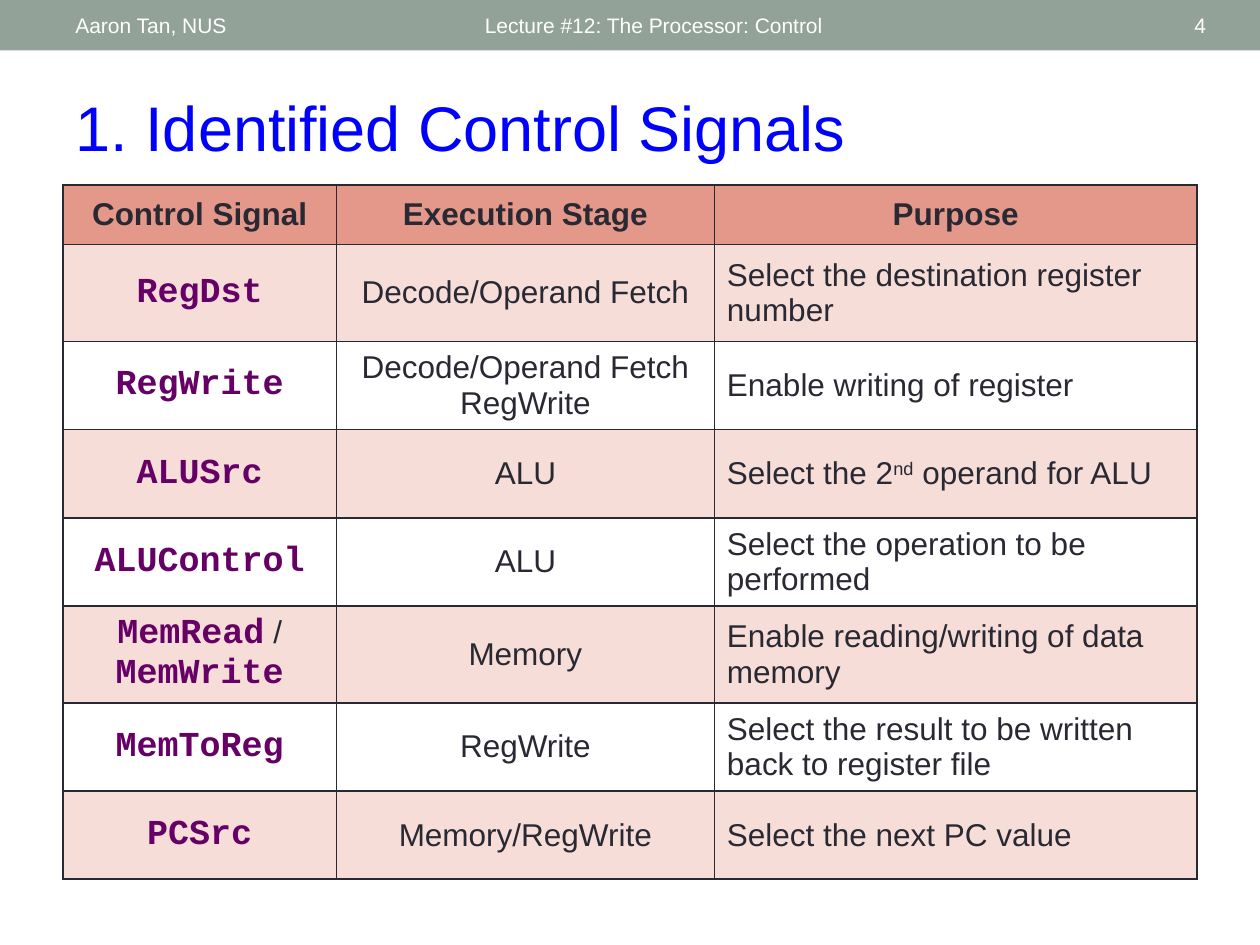
from dataclasses import dataclass

from lxml.etree import SubElement
from pptx import Presentation
from pptx.dml.color import RGBColor
from pptx.enum.shapes import MSO_SHAPE
from pptx.enum.text import MSO_ANCHOR, MSO_AUTO_SIZE, PP_ALIGN
from pptx.oxml.ns import qn
from pptx.util import Inches, Pt


@dataclass(frozen=True)
class Theme:
    """Colours, fonts and type sizes of the slide."""
    band: str = "93A299"
    white: str = "FFFFFF"
    title: str = "0000FF"
    ink: str = "292934"
    signal: str = "660066"
    head_fill: str = "E4988A"
    row_fill: str = "F6DDD8"
    font: str = "Arial"
    code_font: str = "Courier New"
    small: int = 12
    body: int = 18
    code: int = 20
    heading: int = 36


T = Theme()
W, H = 10, 7.5
MARGIN = W * 0.05
COLS = [2.17, 3, 3.83]
ROWS = [0.47, 0.77, 0.7, 0.7, 0.7, 0.74, 0.7, 0.7]
CODE = dict(font=T.code_font, size=T.code, color=T.signal, bold=True)
HEADS = ["Control Signal", "Execution Stage", "Purpose"]
SIGNALS = [
    ("RegDst", ["Decode/Operand Fetch"], "Select the destination register number"),
    ("RegWrite", ["Decode/Operand Fetch", "RegWrite"], "Enable writing of register"),
    ("ALUSrc", ["ALU"],
     [("Select the 2", {}), ("nd", dict(raised=30)), (" operand for ALU", {})]),
    ("ALUControl", ["ALU"], "Select the operation to be performed"),
    ([("MemRead", CODE), (" / ", {}), ("MemWrite", CODE)], ["Memory"],
     "Enable reading/writing of data memory"),
    ("MemToReg", ["RegWrite"], "Select the result to be written back to register file"),
    ("PCSrc", ["Memory/RegWrite"], "Select the next PC value"),
]


def rgb(code):
    """Turn a hex code into a colour."""
    return RGBColor.from_string(code)


def add_run(p, text, font=T.font, size=T.body, color=T.ink, bold=False, raised=0):
    """Add one formatted run to a paragraph."""
    r = p.add_run()
    r.text = text
    r.font.name, r.font.size, r.font.bold = font, Pt(size), bold
    r.font.color.rgb = rgb(color)
    if raised:
        r._r.get_or_add_rPr().set("baseline", str(raised * 1000))


def write(tf, paras, align=PP_ALIGN.LEFT, **fmt):
    """Write paragraphs, each a string or a list of (text, format) runs."""
    for i, para in enumerate(paras):
        p = tf.add_paragraph() if i else tf.paragraphs[0]
        p.alignment = align
        for text, own in [(para, {})] if isinstance(para, str) else para:
            add_run(p, text, **{**fmt, **own})


def add_band(s):
    """Draw the strip across the top of the slide."""
    sp = s.shapes.add_shape(MSO_SHAPE.RECTANGLE, 0, 0, Inches(W), Inches(0.4))
    sp.shadow.inherit = False
    sp.fill.solid()
    sp.fill.fore_color.rgb = rgb(T.band)
    sp.line.fill.background()


def add_label(s, text, left, width, align=PP_ALIGN.LEFT):
    """Place a small white label on the strip."""
    sp = s.shapes.add_textbox(Inches(left), Inches(0.02), Inches(width), Inches(0.36))
    tf = sp.text_frame
    tf.word_wrap = True
    tf.vertical_anchor = MSO_ANCHOR.MIDDLE
    write(tf, [text], align, size=T.small, color=T.white)


def add_title(s, text):
    """Move the title placeholder and fill it."""
    sp = s.shapes.title
    sp.left, sp.top = Inches(MARGIN), Inches(0.64)
    sp.width, sp.height = Inches(W - 2 * MARGIN), Inches(0.71)
    tf = sp.text_frame
    tf.auto_size = MSO_AUTO_SIZE.NONE
    tf.vertical_anchor = MSO_ANCHOR.BOTTOM
    write(tf, [text], size=T.heading, color=T.title)


def style_cell(cell, fill):
    """Give a cell its borders, fill and vertical centring."""
    tc_pr = cell._tc.get_or_add_tcPr()
    for side in ("a:lnL", "a:lnR", "a:lnT", "a:lnB"):
        ln = SubElement(tc_pr, qn(side), w=str(Pt(1)))
        SubElement(SubElement(ln, qn("a:solidFill")), qn("a:srgbClr"), val=T.ink)
    cell.fill.solid()
    cell.fill.fore_color.rgb = rgb(fill)
    cell.vertical_anchor = MSO_ANCHOR.MIDDLE


def add_signal_table(s):
    """Build the table of control signals."""
    tbl = s.shapes.add_table(len(ROWS), len(COLS), Inches(MARGIN), Inches(1.47),
                             Inches(sum(COLS)), Inches(sum(ROWS))).table
    tbl.horz_banding = False
    for col, width in zip(tbl.columns, COLS):
        col.width = Inches(width)
    for i, height in enumerate(ROWS):
        tbl.rows[i].height = Inches(height)
        fill = T.row_fill if i % 2 else T.white
        for cell in tbl.rows[i].cells:
            style_cell(cell, fill if i else T.head_fill)
    for j, head in enumerate(HEADS):
        write(tbl.cell(0, j).text_frame, [head], PP_ALIGN.CENTER, bold=True)
    for i, (signal, stages, purpose) in enumerate(SIGNALS, 1):
        name, stage, use = (cell.text_frame for cell in tbl.rows[i].cells)
        name_format = CODE if isinstance(signal, str) else {}
        write(name, [signal], PP_ALIGN.CENTER, **name_format)
        write(stage, stages, PP_ALIGN.CENTER)
        write(use, [purpose])


def main():
    """Build and save the slide."""
    prs = Presentation()
    prs.slide_width, prs.slide_height = Inches(W), Inches(H)
    s = prs.slides.add_slide(prs.slide_layouts[5])
    add_band(s)
    add_label(s, "Lecture #12: The Processor: Control", 3.75, 4.5)
    add_label(s, "Aaron Tan, NUS", MARGIN, 3.17)
    add_title(s, "1. Identified Control Signals")
    add_label(s, "4", 8.72, 0.95, PP_ALIGN.RIGHT)
    add_signal_table(s)
    prs.save("out.pptx")


if __name__ == "__main__":
    main()
